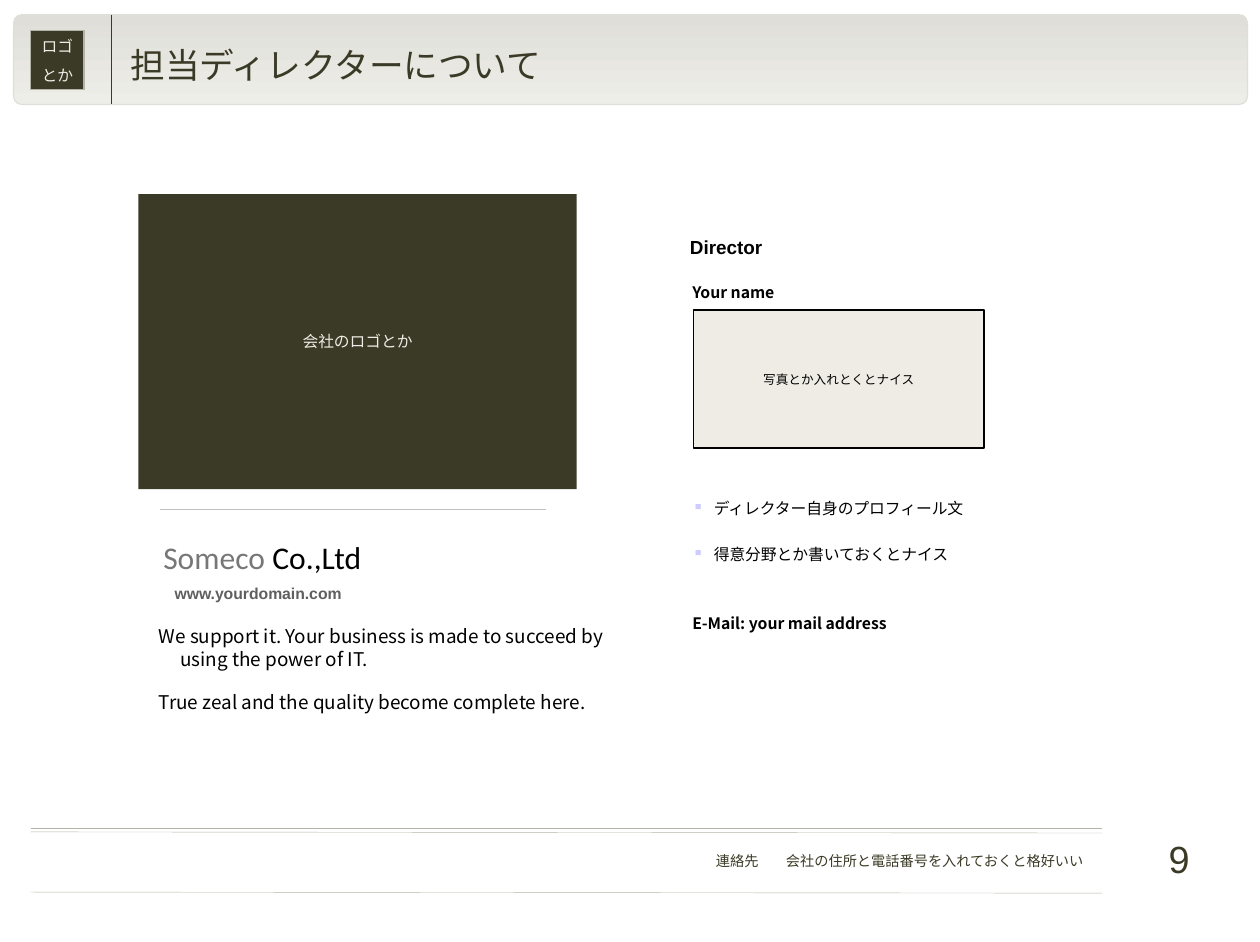
from dataclasses import dataclass

from lxml.etree import SubElement
from pptx import Presentation
from pptx.dml.color import RGBColor
from pptx.enum.shapes import MSO_CONNECTOR, MSO_SHAPE
from pptx.enum.text import MSO_ANCHOR, PP_ALIGN
from pptx.oxml.ns import qn
from pptx.util import Emu, Pt

PX = 9144  # 100 px to the inch
CJK, SANS, SERIF = "Noto Sans CJK JP", "Arial", "Times New Roman"
OLIVE, CREAM, BLACK = "3B3A26", "EFECE5", "000000"
RULE, HEADER_TOP, HEADER_END = "B3B4A7", "DFDED8", "EEEEE8"
BULLET = "CCCCFF"
LEFT, CENTER, RIGHT = PP_ALIGN.LEFT, PP_ALIGN.CENTER, PP_ALIGN.RIGHT


@dataclass
class Run:
    text: str
    size: float
    color: str = BLACK
    font: str = CJK
    bold: bool = False


@dataclass
class Para:
    runs: list[Run]
    align: PP_ALIGN = LEFT
    before: float = 0
    leading: float | None = None
    hanging: int = 0
    bullet: bool = False


@dataclass
class Box:
    """A block of text; it becomes a rectangle when it has a fill."""
    at: tuple[int, int, int, int]
    paras: list[Para]
    fill: str | None = None
    outline: tuple[str, float] | None = None
    middle: bool = False
    wrap: bool = True
    inset: tuple[int, int, int, int] = (10, 5, 10, 5)


@dataclass
class Rule:
    start: tuple[int, int]
    end: tuple[int, int]
    color: str
    width: float


def px(n: int) -> Emu:
    return Emu(n * PX)


def rgb(color: str) -> RGBColor:
    return RGBColor.from_string(color)


def add_header(slide) -> None:
    sp = slide.shapes.add_shape(MSO_SHAPE.ROUNDED_RECTANGLE, px(12), px(13), px(1087), px(79))
    sp.adjustments[0] = 0.09
    sp.shadow.inherit = False
    sp.fill.gradient()
    sp.fill.gradient_angle = 270
    for stop, color in zip(sp.fill.gradient_stops, (HEADER_TOP, HEADER_END)):
        stop.color.rgb = rgb(color)
    sp.line.color.rgb = rgb(HEADER_TOP)
    sp.line.width = Pt(0.75)


def add_rule(slide, rule: Rule) -> None:
    line = slide.shapes.add_connector(MSO_CONNECTOR.STRAIGHT, *map(px, rule.start + rule.end))
    line.line.color.rgb = rgb(rule.color)
    line.line.width = Pt(rule.width)
    SubElement(line._element.spPr, qn("a:effectLst"))


def fill_para(p, para: Para) -> None:
    p.alignment = para.align
    pPr = p._p.get_or_add_pPr()
    if para.hanging:
        pPr.set("marL", str(px(para.hanging)))
        pPr.set("indent", str(px(-para.hanging)))
    if para.bullet:
        SubElement(SubElement(pPr, qn("a:buClr")), qn("a:srgbClr"), val=BULLET)
        SubElement(pPr, qn("a:buChar"), char="▪")
    p.space_before = Pt(para.before)
    if para.leading:
        p.line_spacing = Pt(para.leading)
    for run in para.runs:
        r = p.add_run()
        r.text = run.text
        r.font.size = Pt(run.size)
        r.font.bold = run.bold
        r.font.color.rgb = rgb(run.color)
        r.font.name = run.font
        SubElement(r.font._element, qn("a:ea"), typeface=CJK)


def add_box(slide, box: Box) -> None:
    at = map(px, box.at)
    if box.fill:
        sp = slide.shapes.add_shape(MSO_SHAPE.RECTANGLE, *at)
        sp.shadow.inherit = False
        sp.fill.solid()
        sp.fill.fore_color.rgb = rgb(box.fill)
        if box.outline:
            color, width = box.outline
            sp.line.color.rgb = rgb(color)
            sp.line.width = Pt(width)
        else:
            sp.line.fill.background()
    else:
        sp = slide.shapes.add_textbox(*at)
    tf = sp.text_frame
    tf.word_wrap = box.wrap
    tf.vertical_anchor = MSO_ANCHOR.MIDDLE if box.middle else MSO_ANCHOR.TOP
    tf.margin_left, tf.margin_top, tf.margin_right, tf.margin_bottom = map(px, box.inset)
    for i, para in enumerate(box.paras):
        fill_para(tf.add_paragraph() if i else tf.paragraphs[0], para)


def footer(left: int, width: int, text: str) -> Box:
    return Box((left, 746, width, 25), [Para([Run(text, 9, OLIVE)], RIGHT, leading=10.9)])


def message(text: str, before: float) -> Para:
    return Para([Run(text, 12)], before=before, leading=14.6, hanging=19)


def profile(text: str, before: float, bullet: bool = False) -> Para:
    run = Run(text, 10, bold=not bullet)
    return Para([run], before=before, leading=12.2, hanging=19, bullet=bullet)


def logo_line(text: str, before: float = 0) -> Para:
    return Para([Run(text, 10, CREAM, SERIF)], CENTER, before, 12.2)


BODY_INSET = (10, 10, 8, 10)
TITLE_INSET = (11, 6, 11, 6)

RULES = [
    Rule((27, 730), (971, 730), RULE, 0.25),
    Rule((27, 733), (971, 734), RULE, 0.25),
    Rule((27, 786), (971, 787), RULE, 0.25),
    Rule((98, 13), (98, 92), OLIVE, 0.75),
    Rule((141, 449), (481, 449), "C0C0C0", 1),
]

BOXES = [
    footer(500, 178, "連絡先"),
    footer(678, 286, "会社の住所と電話番号を入れておくと格好いい"),
    Box((27, 27, 47, 52), [logo_line("ロゴ"), logo_line("とか", 6.2)],
        OLIVE, (RULE, 0.75), middle=True, wrap=False),
    Box((104, 22, 963, 70), [Para([Run("担当ディレクターについて", 22, OLIVE)])],
        middle=True, inset=TITLE_INSET),
    Box((130, 540, 431, 110),
        [message("We support it. Your business is made to succeed by using the power of IT.", 0),
         message("True zeal and the quality become complete here.", 12.7)],
        inset=BODY_INSET),
    Box((144, 509, 364, 27),
        [Para([Run("www.yourdomain.com", 10, "5F5F5F", SANS, True)])]),
    Box((600, 239, 431, 419),
        [profile("Your name", 0),
         profile("ディレクター自身のプロフィール文", 124.8, True),
         profile("得意分野とか書いておくとナイス", 17, True),
         profile("E-Mail: your mail address", 31.6)],
        inset=BODY_INSET),
    Box((598, 203, 84, 30), [Para([Run("Director", 12, font=SANS, bold=True)])], wrap=False),
    Box((134, 469, 366, 44),
        [Para([Run("Someco ", 20, "777777", "Calibri"), Run("Co.,Ltd", 20, font="Calibri")])]),
    Box((611, 273, 256, 122), [Para([Run("写真とか入れとくとナイス", 8, font=SANS)], CENTER)],
        CREAM, (BLACK, 1), middle=True, wrap=False),
    Box((122, 171, 386, 260), [logo_line("会社のロゴとか")], OLIVE, middle=True, wrap=False),
    Box((965, 730, 94, 35), [Para([Run("9", 24, OLIVE, SANS)], RIGHT)], inset=TITLE_INSET),
]


def main() -> None:
    prs = Presentation()
    prs.slide_width, prs.slide_height = px(1110), px(830)
    slide = prs.slides.add_slide(prs.slide_layouts[6])
    add_header(slide)
    for rule in RULES:
        add_rule(slide, rule)
    for box in BOXES:
        add_box(slide, box)
    prs.save("out.pptx")


if __name__ == "__main__":
    main()
